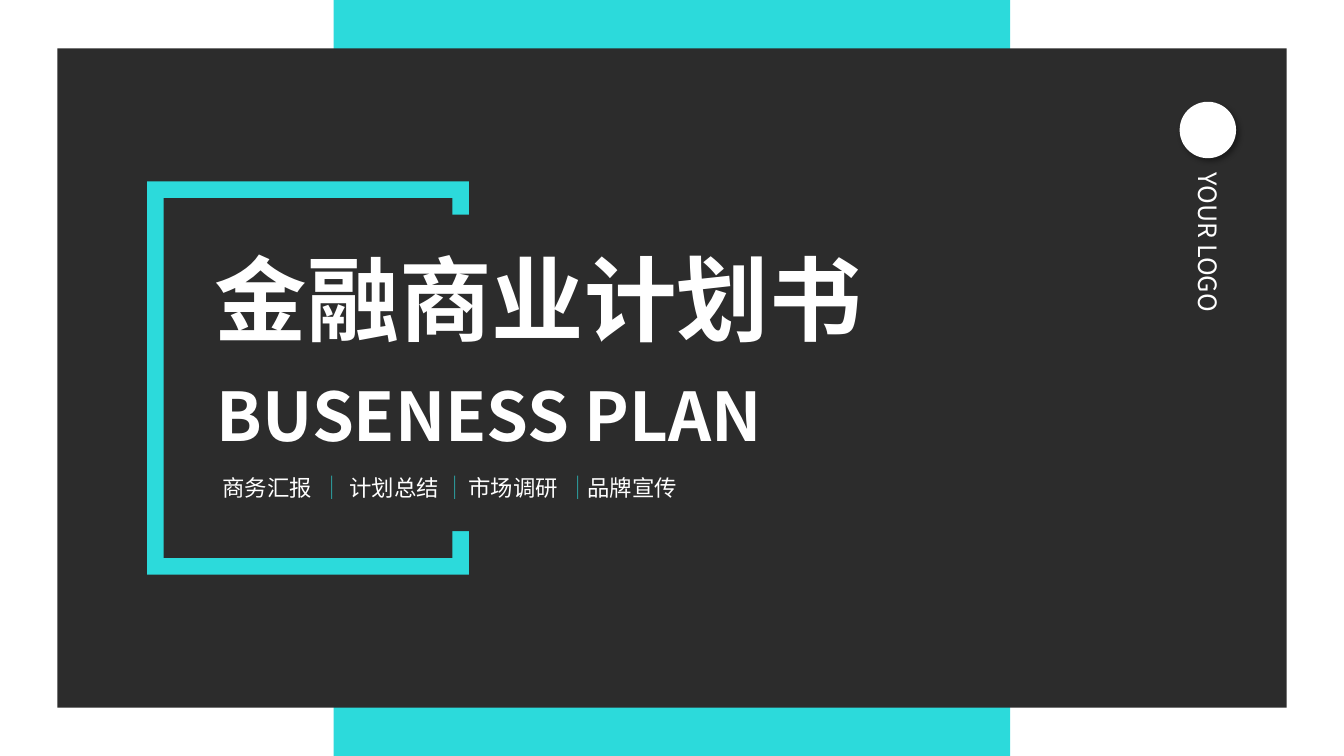
import pptx
import pptx.util
import pptx.dml.color
import pptx.enum.shapes
import pptx.enum.text
import pptx.oxml.ns
from dataclasses import dataclass
from lxml import etree

Inches = pptx.util.Inches
Pt = pptx.util.Pt
qn = pptx.oxml.ns.qn
RGB = pptx.dml.color.RGBColor.from_string
SHAPE = pptx.enum.shapes.MSO_SHAPE


@dataclass(frozen=True)
class Theme:
    cyan: str = "2CDADB"
    dark: str = "2C2C2C"
    white: str = "FFFFFF"
    shadow: str = "000000"
    font: str = "Noto Sans CJK SC"
    title: int = 66
    subtitle: int = 48
    logo: int = 18
    label: int = 16


theme = Theme()
prs = pptx.Presentation()
prs.slide_width, prs.slide_height = Inches(13.33), Inches(7.5)
s = prs.slides.add_slide(prs.slide_layouts[5])


def add_block(kind, x, y, w, h, color):
    sp = s.shapes.add_shape(kind, Inches(x), Inches(y), Inches(w), Inches(h))
    sp.shadow.inherit = False
    sp.fill.solid()
    sp.fill.fore_color.rgb = RGB(color)
    sp.line.fill.background()
    return sp


def add_text(text, x, y, w, h, size, bold=False, wrap=True, margin=None, sp=None):
    box = [Inches(v) for v in (x, y, w, h)]
    sp = sp or s.shapes.add_textbox(*box)
    sp.left, sp.top, sp.width, sp.height = box
    tf = sp.text_frame
    tf.word_wrap = wrap
    tf.auto_size = pptx.enum.text.MSO_AUTO_SIZE.SHAPE_TO_FIT_TEXT
    tf.vertical_anchor = pptx.enum.text.MSO_ANCHOR.TOP
    if margin is not None:
        tf.margin_left = tf.margin_top = tf.margin_right = tf.margin_bottom = margin
    p = tf.paragraphs[0]
    p.alignment = pptx.enum.text.PP_ALIGN.LEFT
    r = p.add_run()
    r.text = text
    r.font.size, r.font.bold, r.font.name = Pt(size), bold, theme.font
    r.font.color.rgb = RGB(theme.white)
    # The East Asian typeface follows the latin one
    latin = r._r.get_or_add_rPr().find(qn("a:latin"))
    latin.addnext(etree.Element(qn("a:ea"), typeface=theme.font))
    return sp


# Background band and dark panel
add_block(SHAPE.RECTANGLE, 3.31, 0, 6.71, 7.5, theme.cyan)
add_block(SHAPE.RECTANGLE, 0.57, 0.48, 12.19, 6.54, theme.dark)

# Open frame: a dark block covers its right side
frame = add_block(SHAPE.FRAME, 1.46, 1.8, 3.19, 3.9, theme.cyan)
frame.adjustments[0] = 0.051
add_block(SHAPE.RECTANGLE, 1.97, 2.13, 8.39, 3.14, theme.dark)

# Title, brought in front of the blocks, and subtitle
title = s.shapes.title
s.shapes.element.append(title.element)
add_text("金融商业计划书", 2.03, 2.35, 7.99, 1.21, theme.title, bold=True, sp=title)
add_text("BUSENESS PLAN", 2.15, 3.71, 5.91, 0.81, theme.subtitle, bold=True, margin=0)

# Separators between the labels
for i in range(3):
    x = Inches(3.29 + 1.22 * i)
    separator = s.shapes.add_connector(
        pptx.enum.shapes.MSO_CONNECTOR.STRAIGHT, x, Inches(4.72), x, Inches(4.95))
    separator.line.width = Pt(0.75)
    separator.line.color.rgb = RGB(theme.cyan)
    sp_pr = separator.element.spPr
    color = next(sp_pr.iter(qn("a:srgbClr")))
    etree.SubElement(color, qn("a:alpha"), val="60000")
    etree.SubElement(sp_pr, qn("a:effectLst"))

# Labels
labels = [("商务汇报", 2.11), ("计划总结", 3.37), ("市场调研", 4.55), ("品牌宣传", 5.73)]
for text, x in labels:
    add_text(text, x, 4.65, 1.1, 0.37, theme.label, wrap=False)

# Logo disc with a soft shadow, and its vertical caption
disc = add_block(SHAPE.OVAL, 11.7, 1.01, 0.56, 0.56, theme.white)
shadow = etree.SubElement(
    disc.element.spPr.find(qn("a:effectLst")), qn("a:outerShdw"),
    blurRad=str(Pt(4)), dist=str(Pt(3)), dir=str(45 * 60000), algn="tl", rotWithShape="0")
color = etree.SubElement(shadow, qn("a:srgbClr"), val=theme.shadow)
etree.SubElement(color, qn("a:alpha"), val="40000")
caption = add_text("YOUR LOGO", 10.94, 2.46, 2.09, 0.4, theme.logo)
caption.rotation = 90

prs.save("out.pptx")
